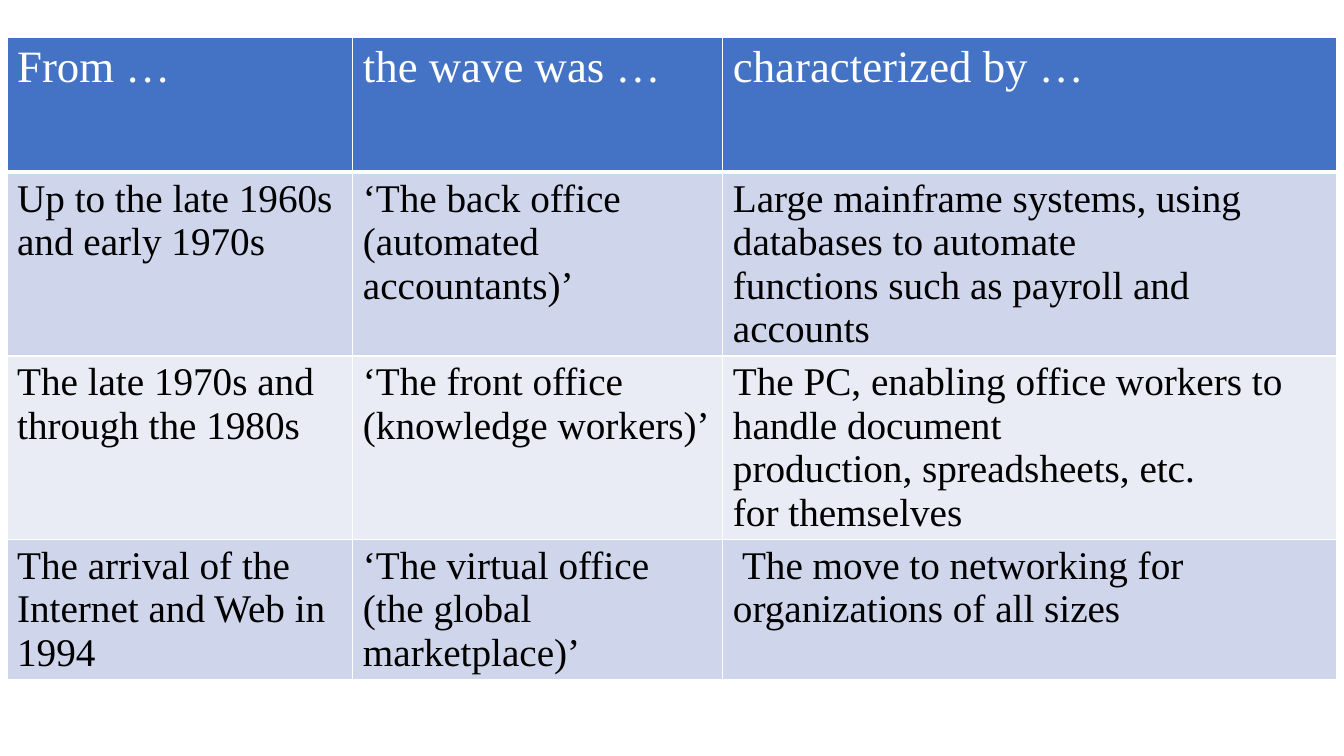
from dataclasses import dataclass

from pptx import Presentation
from pptx.dml.color import RGBColor
from pptx.oxml.ns import qn
from pptx.table import _Cell as Cell
from pptx.util import Inches, Pt
from lxml.etree import SubElement

COLORS = {
    "header": "4472C4",
    "odd_band": "CFD5EA",
    "even_band": "E9EBF5",
    "white": "FFFFFF",
    "black": "000000",
}
FONT = "Times New Roman"


@dataclass(frozen=True)
class RowStyle:
    fill: str
    text: str
    size: int
    bottom_border: int = 1


@dataclass(frozen=True)
class WaveRow:
    period: str
    wave: str
    features: str
    height: float
    style: RowStyle


HEADER = RowStyle("header", "white", 32, 3)
ODD_BAND = RowStyle("odd_band", "black", 28)
EVEN_BAND = RowStyle("even_band", "black", 28)

COLUMN_WIDTHS = (3.43, 3.67, 6.09)
WAVE_ROWS = (
    WaveRow("From …", "the wave was …", "characterized by …", 1.34, HEADER),
    WaveRow(
        "Up to the late 1960s and early 1970s",
        "‘The back office (automated accountants)’",
        "Large mainframe systems, using databases to automate\n"
        "functions such as payroll and\naccounts",
        1.51,
        ODD_BAND,
    ),
    WaveRow(
        "The late 1970s and through the 1980s",
        "‘The front office (knowledge workers)’",
        "The PC, enabling office workers to handle document\n"
        "production, spreadsheets, etc.\nfor themselves",
        1.34,
        EVEN_BAND,
    ),
    WaveRow(
        "The arrival of the Internet and Web in 1994",
        "‘The virtual office (the global marketplace)’",
        " The move to networking for organizations of all sizes",
        1.34,
        ODD_BAND,
    ),
)


def add_border(cell: Cell, side: str, width: int) -> None:
    properties = cell._tc.get_or_add_tcPr()
    line = SubElement(properties, qn(f"a:ln{side}"), w=str(Pt(width)))
    fill = SubElement(line, qn("a:solidFill"))
    SubElement(fill, qn("a:srgbClr"), val=COLORS["white"])


def fill_cell(cell: Cell, text: str, style: RowStyle, top_border: int) -> None:
    borders = {"L": 1, "R": 1, "T": top_border, "B": style.bottom_border}
    for side, width in borders.items():
        add_border(cell, side, width)
    cell.fill.solid()
    cell.fill.fore_color.rgb = RGBColor.from_string(COLORS[style.fill])
    frame = cell.text_frame
    for index, line in enumerate(text.split("\n")):
        paragraph = frame.add_paragraph() if index else frame.paragraphs[0]
        run = paragraph.add_run()
        run.text = line
        run.font.name = FONT
        run.font.size = Pt(style.size)
        run.font.bold = False
        run.font.color.rgb = RGBColor.from_string(COLORS[style.text])


presentation = Presentation()
presentation.slide_width = Inches(13.33)
presentation.slide_height = Inches(7.5)
slide = presentation.slides.add_slide(presentation.slide_layouts[6])

table = slide.shapes.add_table(
    len(WAVE_ROWS), len(COLUMN_WIDTHS),
    Inches(0.07), Inches(0.37), Inches(sum(COLUMN_WIDTHS)),
    Inches(sum(row.height for row in WAVE_ROWS)),
).table
for column, width in zip(table.columns, COLUMN_WIDTHS):
    column.width = Inches(width)

top_border = 1
for table_row, row in zip(table.rows, WAVE_ROWS):
    table_row.height = Inches(row.height)
    for cell, text in zip(table_row.cells, (row.period, row.wave, row.features)):
        fill_cell(cell, text, row.style, top_border)
    top_border = row.style.bottom_border

presentation.save("out.pptx")
